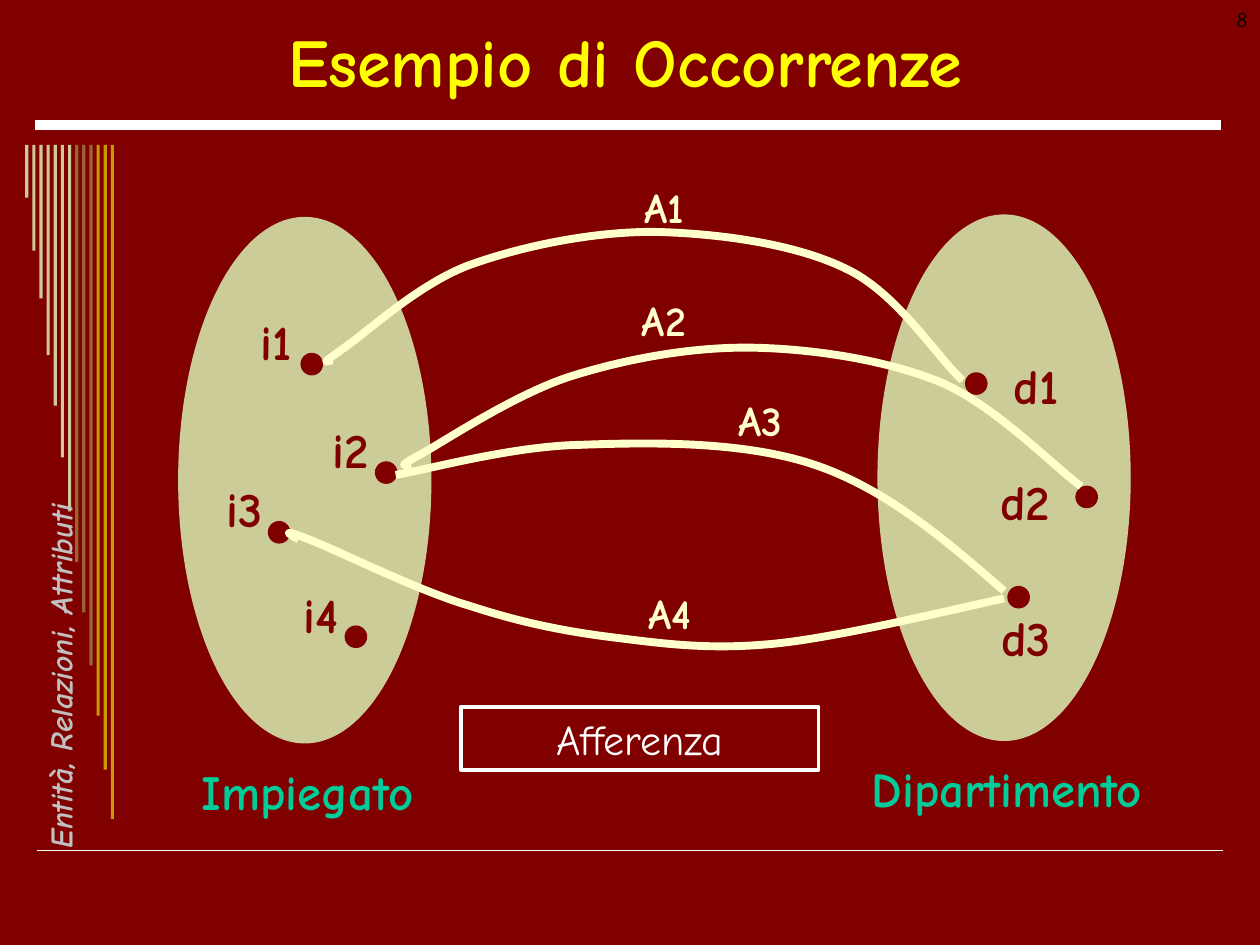
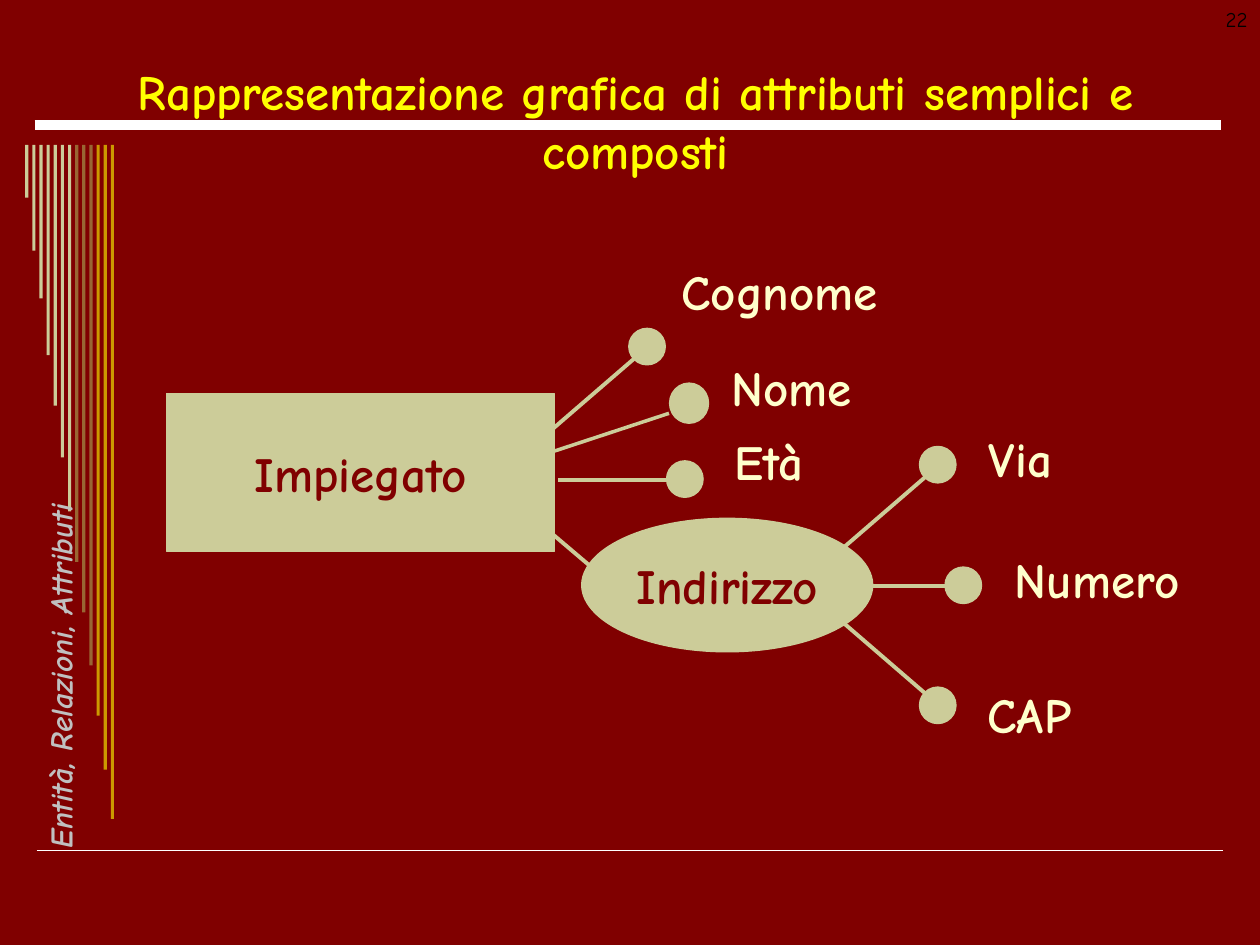
from lxml.etree import SubElement
from pptx import Presentation
from pptx.dml.color import RGBColor as RGB
from pptx.enum.shapes import MSO_CONNECTOR as LINK, MSO_SHAPE as KIND
from pptx.enum.text import MSO_ANCHOR as ANCHOR, MSO_AUTO_SIZE as AUTO, PP_ALIGN as ALIGN
from pptx.oxml.ns import qn
from pptx.util import Pt

FONT = "Comic Neue"
HUE = {
    "wine": "800000", "sand": "CCCC99", "cream": "FFFFCC", "white": "FFFFFF",
    "brown": "996633", "gold": "CC9900", "yellow": "FFFF00", "green": "00CC99",
    "gray": "C0C0C0", "black": "000000",
}
HUE = {name: RGB.from_string(code) for name, code in HUE.items()}


def write(shape, text, size=28, hue="wine", bold=True, slant=False,
          align=ALIGN.CENTER, anchor=ANCHOR.MIDDLE, wrap=False, auto=AUTO.NONE):
    frame = shape.text_frame
    frame.text = text
    frame.word_wrap = wrap
    frame.auto_size = auto
    frame.vertical_anchor = anchor
    par = frame.paragraphs[0]
    par.alignment = align
    font = par.runs[0].font
    font.name, font.size, font.bold, font.italic = FONT, Pt(size), bold, slant
    font.color.rgb = HUE[hue]


def form(page, kind, box, fill=None, edge=None, thick=0.75):
    shape = page.shapes.add_shape(kind, *map(Pt, box))
    shape.shadow.inherit = False
    if fill:
        shape.fill.solid()
        shape.fill.fore_color.rgb = HUE[fill]
    else:
        shape.fill.background()
    if edge:
        shape.line.color.rgb = HUE[edge]
        shape.line.width = Pt(thick)
    else:
        shape.line.fill.background()
    return shape


deck = Presentation()
deck.slide_width, deck.slide_height = Pt(720), Pt(540)
back = deck.slide_master.background.fill
back.solid()
back.fore_color.rgb = HUE["wine"]

rules = [(20.9, 486, 699.1, 486, "white", 1), (19.8, 71.4, 697.8, 71.4, "white", 6)]
spokes = [
    (362.9, 204.5, 315.4, 245.5, "sand", 2.25),
    (381.6, 274.3, 319, 274.3, "sand", 2.25),
    (341.3, 326.9, 293.8, 286.6, "sand", 2.25),
    (529.2, 272.2, 481.7, 313.2, "sand", 2.25),
    (540.7, 334.8, 478.1, 334.8, "sand", 2.25),
    (529.2, 396.7, 481.7, 355.7, "sand", 2.25),
    (314.6, 258.5, 382.3, 236.2, "sand", 2),
]
tall = [30.2, 60.5, 87.8, 120.2, 149, 178.6, 209.5, 238.3, 267.1, 297.4, 326.2, 357.1, 385.2]
tints = ["sand"] * 7 + ["brown"] * 3 + ["gold"] * 3
plan = [
    ("Esempio di Occorrenze", 39, (25.5, 9, 663.1, 51.1), "8", rules),
    ("Rappresentazione grafica di attributi semplici e composti", 28,
     (36.2, 35, 653.8, 67.7), "22", rules + spokes),
]

pages = []
for head, size, box, number, lines in plan:
    page = deck.slides.add_slide(deck.slide_layouts[5])
    pages.append(page)
    for x1, y1, x2, y2, hue, thick in lines:
        line = page.shapes.add_connector(LINK.STRAIGHT, Pt(x1), Pt(y1), Pt(x2), Pt(y2))
        line.line.color.rgb = HUE[hue]
        line.line.width = Pt(thick)
        SubElement(line.element.spPr, qn("a:effectLst"))
    for i, (high, tint) in enumerate(zip(tall, tints)):
        form(page, KIND.RECTANGLE, (14.4 + 4.08 * i, 82.8, 1.8, high), tint)
    side = page.shapes.add_textbox(Pt(-53.5), Pt(401.3), Pt(164.2), Pt(17.3))
    side.rotation = 270
    write(side, "Entità, Relazioni, Attributi", size=18, hue="gray", slant=True,
          align=ALIGN.LEFT, anchor=ANCHOR.TOP)
    title = page.shapes.title
    title.left, title.top, title.width, title.height = map(Pt, box)
    title.element.getparent().append(title.element)
    write(title, head, size=size, hue="yellow", wrap=True)
    corner = page.shapes.add_textbox(Pt(552.2), Pt(0), Pt(167.8), Pt(36))
    write(corner, number, size=12, hue="black", bold=False, align=ALIGN.RIGHT,
          anchor=ANCHOR.TOP, wrap=True)

sets, tree = pages

for x, y in [(102.2, 124.3), (501.8, 122.9)]:
    form(sets, KIND.OVAL, (x, y, 144, 300.2), "sand", "sand")

dots = [(172.1, 202), (214.6, 264), (153.4, 298.1), (197.3, 357.8),
        (551.8, 213.1), (614.9, 277.9), (576, 335.2)]
for x, y in dots:
    form(sets, KIND.OVAL, (x, y, 12.2, 12.2), "wine", "wine")

curves = [
    [(190.1, 205.9), (185.8, 206.6), (182.9, 208.8), (195.8, 199.4),
     (208.8, 190.8), (237.6, 163.4), (267.1, 151.9),
     (296.6, 141.1), (337, 132.5), (373, 132.5),
     (409, 133.2), (453.6, 139), (483.1, 153.4),
     (512.6, 167), (535.7, 204.5), (550.1, 217.4)],
    [(234.7, 265), (231.1, 266.4), (226.1, 267.1), (241.2, 259.2),
     (256.3, 250.6), (294.5, 225.4), (325.4, 215.3),
     (357.1, 205.2), (395.3, 198), (430.6, 198.7),
     (465.8, 199.4), (507.6, 205.9), (538.6, 218.9),
     (569.5, 232.6), (601.2, 265.7), (617.8, 277.9)],
    [(226.1, 271.4), (243.4, 268.6), (292.3, 254.9), (331.9, 254.2),
     (372.2, 252.7), (425.5, 252), (465.8, 265.7),
     (506.2, 279.4), (540, 308.2), (573.8, 337.7)],
    [(170.6, 308.2), (164.9, 305.3), (159.8, 301.7), (176.4, 308.2),
     (193, 314.6), (239, 337.7), (268.6, 346.3),
     (297.4, 355.7), (321.8, 360.7), (350.6, 364.3),
     (379.4, 367.9), (405.4, 371.5), (442.1, 367.9),
     (479.5, 364.3), (546.5, 347.8), (573.8, 342)],
]
for curve in curves:
    start, *rest = [(Pt(x), Pt(y)) for x, y in curve]
    pen = sets.shapes.build_freeform(*start)
    pen.add_line_segments(rest, close=False)
    arc = pen.convert_to_shape()
    arc.shadow.inherit = False
    arc.fill.background()
    arc.line.color.rgb = HUE["cream"]
    arc.line.width = Pt(4.5)
    track = arc.element.find(".//" + qn("a:path"))
    steps = track.findall(qn("a:lnTo"))
    for i in range(0, len(steps), 3):
        bend = SubElement(track, qn("a:cubicBezTo"))
        for step in steps[i:i + 3]:
            bend.append(step[0])
            track.remove(step)

frame = form(sets, KIND.RECTANGLE, (263.3, 403.9, 204.5, 36), edge="white", thick=2)
write(frame, "Afferenza", size=24, hue="white", bold=False, anchor=ANCHOR.TOP,
      wrap=True, auto=AUTO.SHAPE_TO_FIT_TEXT)

block = form(tree, KIND.RECTANGLE, (95.2, 225, 221.8, 90), "sand", "sand")
write(block, "Impiegato")
oval = form(tree, KIND.OVAL, (332.4, 296.2, 166.3, 76.3), "sand", "sand")
write(oval, "Indirizzo")

for x, y in [(359.3, 187.6), (380.9, 263.3), (525.4, 255.1), (540, 324), (525.4, 392.6)]:
    form(tree, KIND.OVAL, (x, y, 20.9, 20.9), "sand", "sand")
form(tree, KIND.FLOWCHART_CONNECTOR, (382.6, 218.9, 22.3, 23), "sand", "sand")

item = dict(hue="wine")
name = dict(hue="green")
link = dict(hue="cream", size=24)
leaf = dict(hue="cream", align=ALIGN.LEFT, anchor=ANCHOR.TOP)
labels = [
    (sets, "i1", 141.8, 174.2, 31.7, item),
    (sets, "i2", 182.9, 236.2, 35.3, item),
    (sets, "i3", 122.4, 270, 34.6, item),
    (sets, "i4", 166.3, 330.5, 33.8, item),
    (sets, "d1", 572.4, 199.4, 39.6, item),
    (sets, "d2", 564.5, 265.7, 42.5, item),
    (sets, "d3", 565.2, 343.4, 42.5, item),
    (sets, "Impiegato", 107.8, 431.3, 136.1, name),
    (sets, "Dipartimento", 490.8, 429.8, 169.2, name),
    (sets, "A1", 361.4, 100.1, 36.7, link),
    (sets, "A2", 359.6, 164.9, 39.6, link),
    (sets, "A3", 414.7, 221.8, 39.6, link),
    (sets, "A4", 363.3, 331.9, 38.9, link),
    (tree, "Cognome", 382.3, 145.8, 126.7, leaf),
    (tree, "Nome", 411.1, 200.9, 108, dict(leaf, wrap=True)),
    (tree, "Età", 412.6, 243, 54, leaf),
    (tree, "Via", 558, 241.2, 50.4, leaf),
    (tree, "Numero", 572.8, 310.6, 108.7, leaf),
    (tree, "CAP", 557.3, 387.4, 61.9, leaf),
]
for page, text, x, y, wide, style in labels:
    high = 36 if style is link else 41
    slack = 0 if "align" in style else 5
    label = page.shapes.add_textbox(Pt(x - slack), Pt(y), Pt(wide + 2 * slack), Pt(high))
    write(label, text, auto=AUTO.SHAPE_TO_FIT_TEXT, **style)

deck.save("out.pptx")
